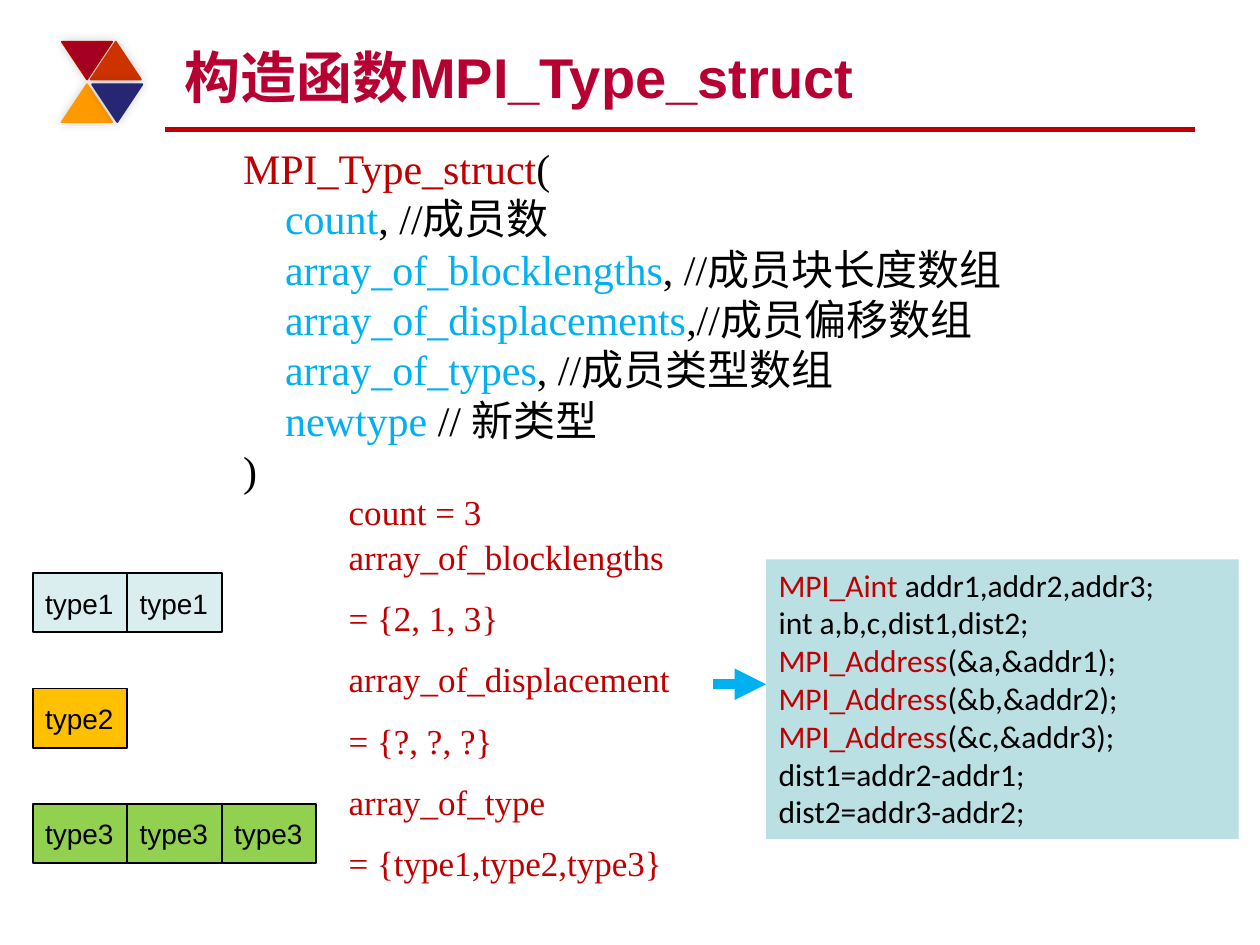
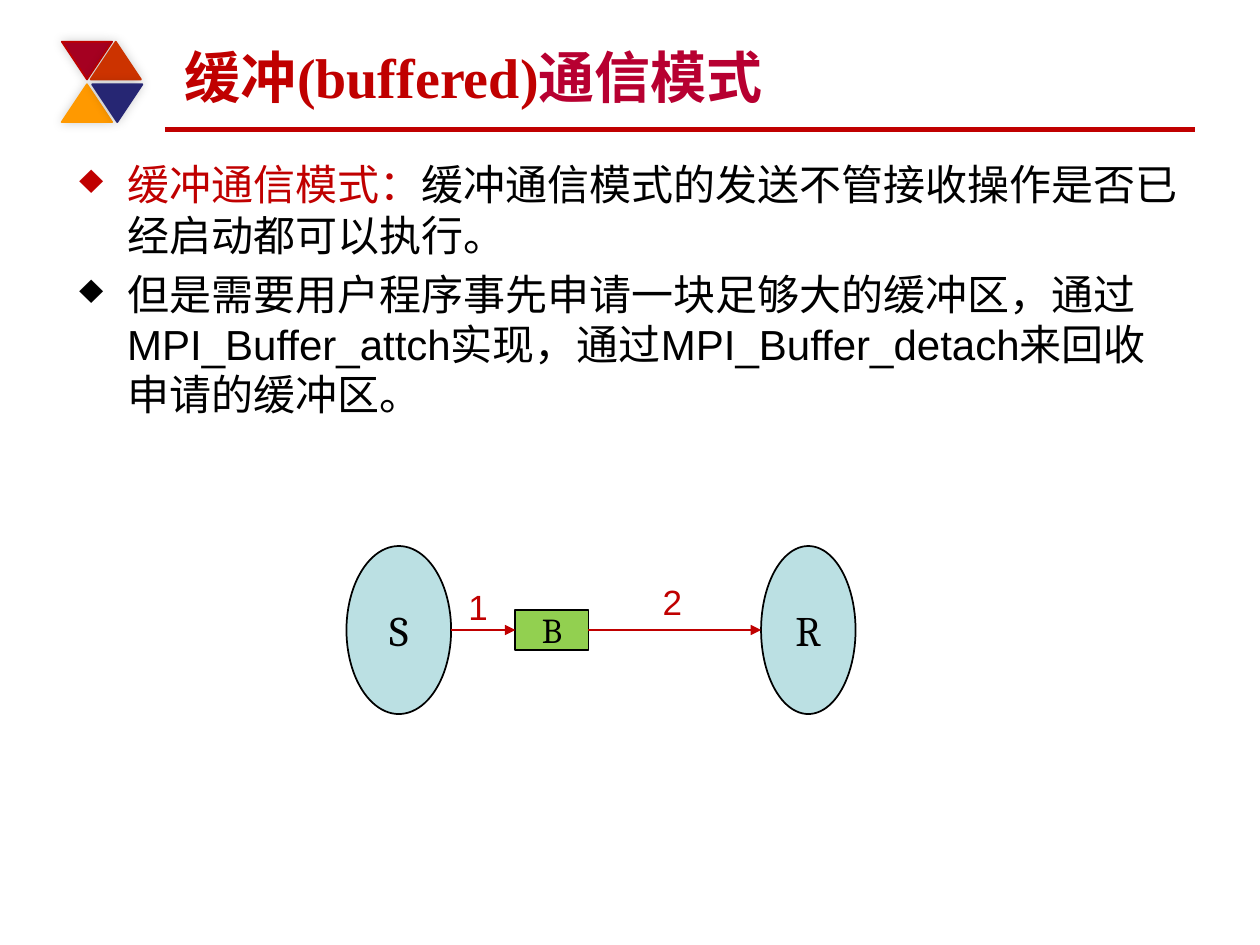
"""Build two slides on MPI derived types and buffered communication."""
from dataclasses import dataclass
from typing import NamedTuple

from lxml import etree
from pptx import Presentation
from pptx.dml.color import RGBColor
from pptx.enum.shapes import MSO_CONNECTOR, MSO_SHAPE
from pptx.enum.text import MSO_ANCHOR, PP_ALIGN
from pptx.oxml.ns import qn
from pptx.util import Pt

STRAIGHT = MSO_CONNECTOR.STRAIGHT
RECT, OVAL, TRIANGLE = MSO_SHAPE.RECTANGLE, MSO_SHAPE.OVAL, MSO_SHAPE.ISOSCELES_TRIANGLE
TOP, MIDDLE, BOTTOM = MSO_ANCHOR.TOP, MSO_ANCHOR.MIDDLE, MSO_ANCHOR.BOTTOM
LEFT, CENTER = PP_ALIGN.LEFT, PP_ALIGN.CENTER
SIDE_LEFT, SIDE_RIGHT = 1, 3


class Style(NamedTuple):
    """Font, size and weight of a text."""
    font: str
    size: float
    bold: bool = False


class Run(NamedTuple):
    """A piece of text in one colour."""
    text: str
    color: str


class Box(NamedTuple):
    """Left, top, width and height in points."""
    x: float
    y: float
    w: float
    h: float


class Triangle(NamedTuple):
    """One triangle of the corner emblem."""
    x: float
    y: float
    fill: str
    line: str
    rotation: int


class MemberRow(NamedTuple):
    """A row of equal type cells."""
    label: str
    count: int
    fill: str


class Node(NamedTuple):
    """A labelled node of the message diagram."""
    label: str
    kind: int
    box: Box
    fill: str
    style: Style


@dataclass(frozen=True)
class Theme:
    """Colours and type styles shared by the slides."""
    red: str = "C00000"
    crimson: str = "B70031"
    black: str = "000000"
    sky: str = "00B0F0"
    teal: str = "BBE0E3"
    pale: str = "DAEDEF"
    gold: str = "FFC000"
    green: str = "92D050"
    title: Style = Style("Arial", 32, True)
    title_serif: Style = Style("Times New Roman", 32, True)
    call: Style = Style("Times New Roman", 24)
    values: Style = Style("Times New Roman", 20)
    code: Style = Style("Calibri", 18)
    cell: Style = Style("Arial", 16)
    body: Style = Style("Arial", 24)
    step: Style = Style("Arial", 20)
    process: Style = Style("Cambria", 24)
    buffer: Style = Style("Cambria", 20)


T = Theme()
EMBLEM = [
    Triangle(35.3, 23.8, "A50021", T.red, 180),
    Triangle(51.8, 23.8, "CC3300", "CC3300", 0),
    Triangle(35.3, 48.2, "FF9900", "FF9900", 0),
    Triangle(52.6, 48.2, "262673", "262673", 180),
]
PARAMETERS = [
    ("count", ", //成员数"),
    ("array_of_blocklengths", ", //成员块长度数组"),
    ("array_of_displacements", ",//成员偏移数组"),
    ("array_of_types", ", //成员类型数组"),
    ("newtype", " // 新类型"),
]
MEMBERS = [
    MemberRow("type1", 2, T.pale),
    MemberRow("type2", 1, T.gold),
    MemberRow("type3", 3, T.green),
]
VALUES = [
    "array_of_blocklengths", "= {2, 1, 3}",
    "array_of_displacement", "= {?, ?, ?}",
    "array_of_type", "= {type1,type2,type3}",
]
ADDRESS_CODE = [
    ("MPI_Aint ", "addr1,addr2,addr3;"),
    ("", "int a,b,c,dist1,dist2;"),
    *[("MPI_Address", f"(&{name},&addr{i});") for i, name in enumerate("abc", 1)],
    ("", "dist1=addr2-addr1;"),
    ("", "dist2=addr3-addr2;"),
]
SENDER = Node("S", OVAL, Box(198, 312, 59.8, 96), T.teal, T.process)
RECEIVER = Node("R", OVAL, Box(434.9, 312, 54, 96), T.teal, T.process)
BUFFER = Node("B", RECT, Box(294.5, 348.5, 41.8, 23), T.green, T.buffer)


def rgb(color: str) -> RGBColor:
    """Turn a hex string into a colour."""
    return RGBColor.from_string(color)


def points(box: Box) -> list:
    """Convert a box to lengths."""
    return [Pt(v) for v in box]


def add_run(p, run: Run, style: Style) -> None:
    """Append one styled run."""
    r = p.add_run()
    r.text = run.text
    r.font.name, r.font.size, r.font.bold = style.font, Pt(style.size), style.bold
    r.font.color.rgb = rgb(run.color)


def add_bullet(p, char: str, indent: float) -> None:
    """Give a paragraph a hanging bullet."""
    pPr = p._p.get_or_add_pPr()
    pPr.set("marL", str(Pt(indent)))
    pPr.set("indent", str(-Pt(indent)))
    etree.SubElement(pPr, qn("a:buChar")).set("char", char)


def write(tf, paragraphs: list[list[Run]], style: Style, anchor=TOP, align=LEFT,
          gap: float = 0, bullet: str = "") -> None:
    """Fill a text frame paragraph by paragraph."""
    tf.word_wrap = True
    tf.vertical_anchor = anchor
    for i, runs in enumerate(paragraphs):
        p = tf.add_paragraph() if i else tf.paragraphs[0]
        p.alignment = align
        if i and gap:
            p.space_before = Pt(gap)
        if bullet:
            add_bullet(p, bullet, 27.4)
        for run in runs:
            add_run(p, run, style)


def add_text(s, box: Box, paragraphs: list[list[Run]], style: Style, **options) -> None:
    """Add a text box."""
    write(s.shapes.add_textbox(*points(box)).text_frame, paragraphs, style, **options)


def add_block(s, kind, box: Box, fill: str, line: str = ""):
    """Add a filled shape, outlined when a line colour is given."""
    sp = s.shapes.add_shape(kind, *points(box))
    sp.shadow.inherit = False
    sp.fill.solid()
    sp.fill.fore_color.rgb = rgb(fill)
    if line:
        sp.line.color.rgb = rgb(line)
        sp.line.width = Pt(1)
    else:
        sp.line.fill.background()
    return sp


def add_line(s, start: tuple, end: tuple, color: str, width: float, arrow: bool = True):
    """Add a straight line, with an arrowhead unless told otherwise."""
    cx = s.shapes.add_connector(STRAIGHT, *[Pt(v) for v in (*start, *end)])
    cx.line.color.rgb = rgb(color)
    cx.line.width = Pt(width)
    if arrow:
        etree.SubElement(cx.line._get_or_add_ln(), qn("a:tailEnd")).set("type", "triangle")
    etree.SubElement(cx._element.spPr, qn("a:effectLst"))
    return cx


def add_soft_shadow(sp) -> None:
    """Put a faint blurred shadow round a shape."""
    effects = sp._element.spPr.find(qn("a:effectLst"))
    shadow = etree.SubElement(effects, qn("a:outerShdw"), blurRad=str(Pt(6)),
                              dist="0", dir="18900000")
    color = etree.SubElement(shadow, qn("a:srgbClr"), val=T.black)
    etree.SubElement(color, qn("a:alpha"), val="20000")


def start_slide(prs, title: list[Run], style: Style):
    """Add a slide with rule, emblem and title."""
    s = prs.slides.add_slide(prs.slide_layouts[6])
    add_line(s, (94.3, 74.2), (682.6, 74.2), T.red, 3, arrow=False)
    for t in EMBLEM:
        sp = add_block(s, TRIANGLE, Box(t.x, t.y, 28.8, 21.6), t.fill, t.line)
        sp.rotation = t.rotation
        add_soft_shadow(sp)
    add_text(s, Box(98.6, 18, 576, 48.2), [title], style, anchor=BOTTOM)
    return s


def add_members(s) -> None:
    """Draw the rows of type cells."""
    width, height, pitch = 54, 33.8, 65.9
    for row, member in enumerate(MEMBERS):
        for col in range(member.count):
            box = Box(18.7 + col * width, 327.6 + row * pitch, width, height)
            tf = add_block(s, RECT, box, member.fill, T.black).text_frame
            write(tf, [[Run(member.label, T.black)]], T.cell, MIDDLE)
            tf.word_wrap = False


def add_node(s, node: Node):
    """Draw a diagram node."""
    sp = add_block(s, node.kind, node.box, node.fill, T.black)
    write(sp.text_frame, [[Run(node.label, T.black)]], node.style, MIDDLE, CENTER)
    return sp


def build_struct_slide(prs) -> None:
    """Build the slide on the struct constructor."""
    s = start_slide(prs, [Run("构造函数MPI_Type_struct", T.crimson)], T.title)
    call = [[Run("MPI_Type_struct", T.red), Run("(", T.black)]]
    call += [[Run("    ", T.black), Run(name, T.sky), Run(note, T.black)]
             for name, note in PARAMETERS]
    call.append([Run(")", T.black)])
    add_text(s, Box(131.8, 77.8, 480, 211), call, T.call)
    add_members(s)
    add_text(s, Box(192.2, 276.5, 102.2, 31.7), [[Run("count = 3", T.red)]], T.values)
    add_text(s, Box(192.2, 302.4, 228.2, 213.1), [[Run(v, T.red)] for v in VALUES],
             T.values, gap=11)
    add_line(s, (407.5, 391), (437.8, 391), T.sky, 6)
    code = [[Run(text, color) for text, color in zip(parts, (T.red, T.black)) if text]
            for parts in ADDRESS_CODE]
    sp = add_block(s, RECT, Box(437.8, 319.7, 270, 159.8), T.teal)
    write(sp.text_frame, code, T.code)


def build_buffered_slide(prs) -> None:
    """Build the slide on buffered communication."""
    s = start_slide(prs, [Run("缓冲(buffered)", T.red), Run("通信模式", T.crimson)],
                    T.title_serif)
    body = [
        [Run("缓冲通信模式：", T.red),
         Run("缓冲通信模式的发送不管接收操作是否已经启动都可以执行。", T.black)],
        [Run("但是需要用户程序事先申请一块足够大的缓冲区，通过MPI_Buffer_attch实现，"
             "通过MPI_Buffer_detach来回收申请的缓冲区。", T.black)],
    ]
    add_text(s, Box(38.2, 87.1, 644.4, 429), body, T.body, gap=5, bullet="♦")
    add_node(s, SENDER)
    add_node(s, RECEIVER)
    buffer = add_node(s, BUFFER)
    b, axis = BUFFER.box, 360
    sent = add_line(s, (SENDER.box.x + SENDER.box.w, axis), (b.x, axis), T.red, 1.5)
    sent.end_connect(buffer, SIDE_LEFT)
    received = add_line(s, (b.x + b.w, axis), (RECEIVER.box.x, axis), T.red, 1.5)
    received.begin_connect(buffer, SIDE_RIGHT)
    for label, x, y in (("1", 260.6, 331.2), ("2", 371.5, 328.3)):
        add_text(s, Box(x, y, 30.2, 31.7), [[Run(label, T.red)]], T.step)


def main() -> None:
    """Build and save the presentation."""
    prs = Presentation()
    prs.slide_width, prs.slide_height = Pt(720), Pt(540)
    build_struct_slide(prs)
    build_buffered_slide(prs)
    prs.save("out.pptx")


if __name__ == "__main__":
    main()
